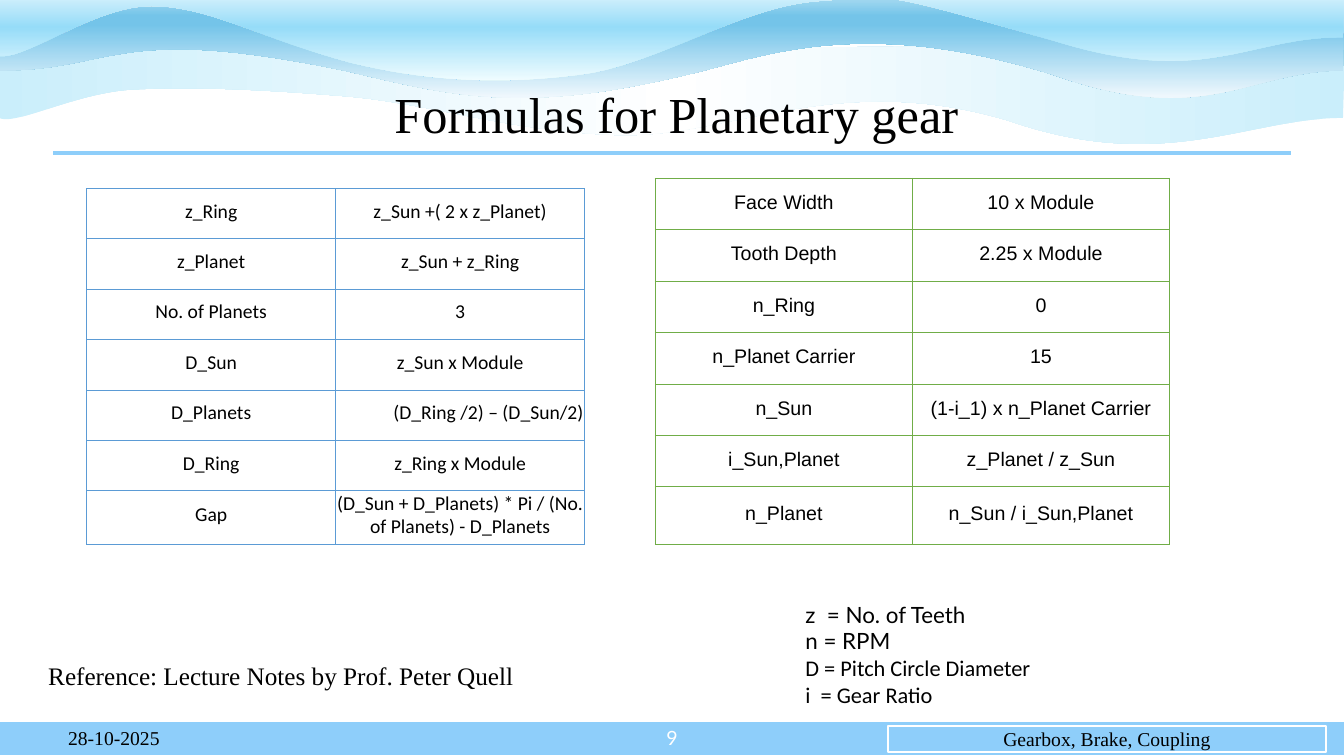
from lxml import etree
from pptx import Presentation
from pptx.dml.color import RGBColor
from pptx.enum.shapes import MSO_CONNECTOR, MSO_SHAPE
from pptx.enum.text import MSO_ANCHOR, PP_ALIGN
from pptx.oxml.ns import qn
from pptx.util import Inches, Pt

LEFT, CENTER, RIGHT = PP_ALIGN.LEFT, PP_ALIGN.CENTER, PP_ALIGN.RIGHT
TOP, MIDDLE = MSO_ANCHOR.TOP, MSO_ANCHOR.MIDDLE
RECTANGLE, STRAIGHT = MSO_SHAPE.RECTANGLE, MSO_CONNECTOR.STRAIGHT


class Theme:
    text, white, band = "000000", "FFFFFF", "8ECEFA"
    blue, green = "5B9BD5", "70AD47"
    serif, sans, humanist, grotesque = "Times New Roman", "Calibri", "Lato", "Arial"
    title, reference, legend, small = 36, 18, 16, 14


# Content
TITLE = "Formulas for Planetary gear"
REFERENCE = "Reference: Lecture Notes by Prof. Peter Quell"
DATE, PAGE_NUMBER, TOPIC = "28-10-2025", "9", "Gearbox, Brake, Coupling"
LEGEND = [
    ("z  = No. of Teeth", Theme.humanist),
    ("n = RPM", Theme.humanist),
    ("D = Pitch Circle Diameter", Theme.sans),
    ("i  = Gear Ratio", Theme.sans),
]
TOOTH_FORMULAS = [
    ("z_Ring", "z_Sun + ( 2 x z_Planet)".replace("+ (", "+(")),
    ("z_Planet", "z_Sun + z_Ring"),
    ("No. of Planets", "3"),
    ("D_Sun", "z_Sun x Module"),
    ("D_Planets", "(D_Ring /2) – (D_Sun/2)"),
    ("D_Ring", "z_Ring x Module"),
    ("Gap", "(D_Sun + D_Planets) * Pi / (No. of Planets) - D_Planets"),
]
SPEED_FORMULAS = [
    ("Face Width", "10 x Module"),
    ("Tooth Depth", "2.25 x Module"),
    ("n_Ring", "0"),
    ("n_Planet Carrier", "15"),
    ("n_Sun", "(1-i_1) x n_Planet Carrier"),
    ("i_Sun,Planet", "z_Planet / z_Sun"),
    ("n_Planet", "n_Sun / i_Sun,Planet"),
]
RIGHT_ALIGNED_ROW = "D_Planets"

# Waves: height, start, cubic curves, straight top edge, gradient stops, gradient angle
WAVES = [
    (0.98, (13.32, 1.17),
     [(12.38, 1.17, 11.54, 1.73, 10.01, 1.2), (8.29, 0.68, 7.22, 1.38, 6.11, 1.34),
      (5.01, 1.3, 4.22, 1.01, 3.36, 0.95), (2.5, 0.88, 1.85, 0.86, 1.29, 0.89),
      (0.73, 0.93, 0.15, 1.25, -0.01, 1.17), (0, 0.94, -0.03, 0.67, -0.02, 0.45)],
     [(3.14, 0.45), (6.54, 0.48), (9.43, 0.46), (13.34, 0.48)],
     [(0, "CAEEFB"), (50, "FFFFFF"), (100, "CAEEFB")], 0),
    (0.98, (13.32, 0.7),
     [(12.39, 0.7, 11.96, 1.28, 10.44, 0.74), (8.71, 0.2, 7.73, 0.5, 7.06, 0.68),
      (5.28, 1.14, 4.59, 0.98, 3.46, 0.71), (1.13, 0.22, 1.15, 0.7, 0, 0.7),
      (0, 0.47, 0.01, 0.24, 0.01, 0)],
     [(3.13, 0.01), (6.54, -0.01), (9.46, 0), (13.33, 0.04)],
     [(0, "A2D8F0"), (17, "74C4E9"), (26, "74C4E9"), (100, "F0F8FD")], 90),
    (1.06, (13.32, 0.37),
     [(12.39, 0.36, 11.96, 0.88, 10.44, 0.4), (8.72, -0.08, 8.91, -0.05, 8.13, 0.01),
      (7.35, 0.06, 6.53, 0.64, 5.76, 0.74), (4.98, 0.84, 4.24, 0.81, 3.47, 0.62),
      (2.58, 0.38, 2.07, 0.06, 1.5, 0.06), (0.92, 0.06, 0.22, 0.63, -0.03, 0.55),
      (-0.02, 0.34, 0.01, -0.04, 0.01, -0.25)],
     [(3.13, -0.24), (6.54, -0.26), (9.46, -0.25), (13.33, -0.22)],
     [(0, "FFFFFF"), (50, "96DCF8"), (100, "EFFCFF")], 90),
]


def rgb(code):
    return RGBColor.from_string(code)


def write(para, text, size, font, color=Theme.text, align=LEFT):
    para.text = text
    para.alignment = align
    para.font.size, para.font.name = Pt(size), font
    para.font.color.rgb = rgb(color)


def add_text(page, at, lines, size, color=Theme.text, align=LEFT, anchor=MIDDLE):
    box = page.shapes.add_textbox(*map(Inches, at))
    frame = box.text_frame
    frame.word_wrap, frame.vertical_anchor = True, anchor
    for index, (text, font) in enumerate(lines):
        para = frame.add_paragraph() if index else frame.paragraphs[0]
        write(para, text, size, font, color, align)


def add_band(page, at):
    band = page.shapes.add_shape(RECTANGLE, *map(Inches, at))
    band.shadow.inherit = False
    band.fill.solid()
    band.fill.fore_color.rgb = rgb(Theme.band)
    band.line.color.rgb, band.line.width = rgb(Theme.white), Pt(1.5)
    return band


def add_wave(page, height, start, curves, edge, stops, angle):
    points = [(curve[i], curve[i + 1]) for curve in curves for i in (0, 2, 4)] + edge
    builder = page.shapes.build_freeform(*map(Inches, start))
    builder.add_line_segments([tuple(map(Inches, point)) for point in points], close=True)
    wave = builder.convert_to_shape()
    wave.shadow.inherit = False
    wave.line.fill.background()

    # Turn each run of three points into one cubic curve
    outline = next(wave._element.iter(qn("a:pathLst")))[0]
    segments = outline.findall(qn("a:lnTo"))
    for first in range(0, 3 * len(curves), 3):
        bend = etree.Element(qn("a:cubicBezTo"))
        segments[first].addprevious(bend)
        for segment in segments[first:first + 3]:
            bend.append(segment[0])
            outline.remove(segment)
    wave.height = Inches(height)
    outline.set("h", str(Inches(height)))

    wave.fill.gradient()
    gradient = wave._element.spPr.find(qn("a:gradFill"))
    stop_list = gradient.find(qn("a:gsLst"))
    for old in list(stop_list):
        stop_list.remove(old)
    for position, color in stops:
        stop = etree.SubElement(stop_list, qn("a:gs"), pos=str(position * 1000))
        etree.SubElement(stop, qn("a:srgbClr"), val=color)
    gradient.find(qn("a:lin")).set("ang", str(angle * 60000))


def set_borders(cell, color):
    properties = cell._tc.get_or_add_tcPr()
    for index, side in enumerate(("a:lnL", "a:lnR", "a:lnT", "a:lnB")):
        line = etree.Element(qn(side), w=str(Pt(0.75)))
        fill = etree.SubElement(line, qn("a:solidFill"))
        etree.SubElement(fill, qn("a:srgbClr"), val=color)
        properties.insert(index, line)


def add_formulas(page, left, top, column, row, last_row, rows, font, color):
    heights = [row] * (len(rows) - 1) + [last_row]
    frame = page.shapes.add_table(len(rows), 2, Inches(left), Inches(top),
                                  Inches(2 * column), Inches(sum(heights)))
    table = frame.table
    table.first_row = table.horz_banding = False
    for table_column in table.columns:
        table_column.width = Inches(column)
    for row_index, (texts, height) in enumerate(zip(rows, heights)):
        table.rows[row_index].height = Inches(height)
        for column_index, text in enumerate(texts):
            cell = table.cell(row_index, column_index)
            cell.fill.background()
            cell.vertical_anchor = MIDDLE
            cell.margin_left = cell.margin_right = cell.margin_top = Inches(0.01)
            cell.margin_bottom = Inches(0.05)
            para = cell.text_frame.paragraphs[0]
            pushed = column_index == 1 and texts[0] == RIGHT_ALIGNED_ROW
            write(para, text, Theme.small, font, align=RIGHT if pushed else CENTER)
            para.line_spacing = Pt(16.5)
            set_borders(cell, color)


deck = Presentation()
deck.slide_width, deck.slide_height = Inches(13.33), Inches(7.5)
page = deck.slides.add_slide(deck.slide_layouts[6])

# Header waves
for wave in WAVES:
    add_wave(page, *wave)

# Footer
add_band(page, (-0.01, 7.15, 13.35, 0.35))
add_text(page, (6.51, 7.12, 0.31, 0.4), [(PAGE_NUMBER, Theme.humanist)],
         Theme.small, Theme.white, RIGHT)
topic = add_band(page, (8.81, 7.2, 4.34, 0.26))
topic.text_frame.vertical_anchor = MIDDLE
write(topic.text_frame.paragraphs[0], TOPIC, Theme.small, Theme.serif, align=CENTER)
add_text(page, (0.13, 7.12, 2, 0.4), [(DATE, Theme.serif)], Theme.small, align=CENTER)

# Title and rule
rule = page.shapes.add_connector(STRAIGHT, Inches(0.53), Inches(1.52),
                                 Inches(12.8), Inches(1.52))
rule.line.color.rgb, rule.line.width = rgb(Theme.band), Pt(3)
etree.SubElement(rule._element.spPr, qn("a:effectLst"))
add_text(page, (0.96, 0.72, 11.5, 0.8), [(TITLE, Theme.serif)], Theme.title, align=CENTER)

# Formulas
add_formulas(page, 0.86, 1.87, 2.47, 0.5, 0.53, TOOTH_FORMULAS, Theme.sans, Theme.blue)
add_formulas(page, 6.5, 1.77, 2.55, 0.51, 0.57, SPEED_FORMULAS, Theme.grotesque, Theme.green)

# Legend and reference
add_text(page, (7.89, 5.91, 3.36, 1.18), LEGEND, Theme.legend, anchor=TOP)
add_text(page, (0.38, 6.5, 7.49, 0.4), [(REFERENCE, Theme.serif)],
         Theme.reference, anchor=TOP)

deck.save("out.pptx")
